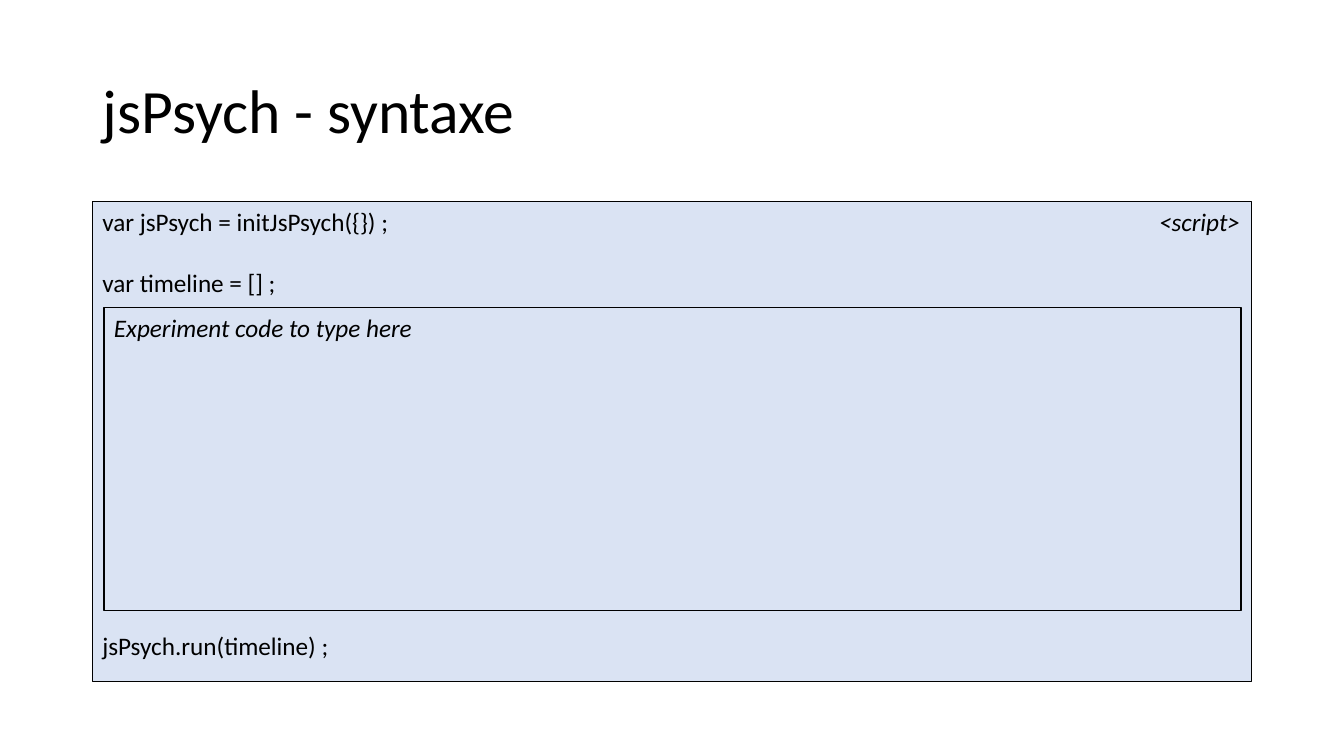
from dataclasses import dataclass
from typing import Optional

from pptx import Presentation
from pptx.dml.color import RGBColor
from pptx.enum.shapes import MSO_SHAPE as Preset
from pptx.enum.text import MSO_ANCHOR as Anchor, MSO_AUTO_SIZE as AutoSize, PP_ALIGN as Align
from pptx.slide import Slide
from pptx.text.text import TextFrame

BLACK = "000000"
PALE_BLUE = "DAE3F3"
FONT = "Calibri"
CODE_LINE = 21.6  # height of one 18 pt line


@dataclass(frozen=True)
class Area:
    left: float
    top: float
    width: float
    height: float

    def lengths(self) -> tuple:
        return Pt(self.left), Pt(self.top), Pt(self.width), Pt(self.height)


@dataclass(frozen=True)
class CodeLine:
    text: str
    blank_lines_before: int = 0


@dataclass(frozen=True)
class CodeBox:
    area: Area
    lines: tuple
    fill: Optional[str] = PALE_BLUE  # None gives a plain label
    italic: bool = False


def color(hex_code: str) -> RGBColor:
    return RGBColor.from_string(hex_code)


def format_text(frame: TextFrame, size: float, italic: bool = False) -> None:
    for para in frame.paragraphs:
        para.alignment = Align.LEFT
        for span in para.runs:
            span.font.name = FONT
            span.font.size = Pt(size)
            span.font.italic = italic
            span.font.color.rgb = color(BLACK)


def draw_title(page: Slide, text: str, area: Area) -> None:
    title = page.shapes.title
    title.left, title.top, title.width, title.height = area.lengths()
    frame = title.text_frame
    frame.text = text
    frame.auto_size = AutoSize.NONE
    frame.vertical_anchor = Anchor.MIDDLE
    frame.paragraphs[0].line_spacing = 0.9
    format_text(frame, 44)


def draw_code_box(page: Slide, code: CodeBox) -> None:
    if code.fill:
        box = page.shapes.add_shape(Preset.RECTANGLE, *code.area.lengths())
        box.shadow.inherit = False
        box.fill.solid()
        box.fill.fore_color.rgb = color(code.fill)
        box.line.color.rgb = color(BLACK)
        box.line.width = Pt(1)
    else:
        box = page.shapes.add_textbox(*code.area.lengths())
        box.text_frame.auto_size = AutoSize.SHAPE_TO_FIT_TEXT
    frame = box.text_frame
    frame.word_wrap = code.fill is not None
    frame.vertical_anchor = Anchor.TOP
    frame.text = "\n".join(line.text for line in code.lines)
    for para, line in zip(frame.paragraphs, code.lines):
        if line.blank_lines_before:
            para.space_before = Pt(line.blank_lines_before * CODE_LINE)
    format_text(frame, 18, code.italic)


# Content, from back to front
CODE_BOXES = (
    CodeBox(
        Area(66, 144, 828, 342.7),
        (
            CodeLine("var jsPsych = initJsPsych({}) ;"),
            CodeLine("var timeline = [] ;", 1),
            CodeLine("jsPsych.run(timeline) ;", 11),
        ),
    ),
    CodeBox(Area(820.8, 144, 73.4, 29), (CodeLine("<script>"),), fill=None, italic=True),
    CodeBox(
        Area(74.2, 219.6, 812.2, 216.7),
        (CodeLine("Experiment code to type here"),),
        italic=True,
    ),
)


def main() -> None:
    deck = Presentation()
    deck.slide_width, deck.slide_height = Pt(960), Pt(540)
    page = deck.slides.add_slide(deck.slide_layouts[5])
    draw_title(page, "jsPsych - syntaxe", Area(66, 28.8, 828, 104.4))
    for code in CODE_BOXES:
        draw_code_box(page, code)
    deck.save("out.pptx")


from pptx.util import Pt

if __name__ == "__main__":
    main()
